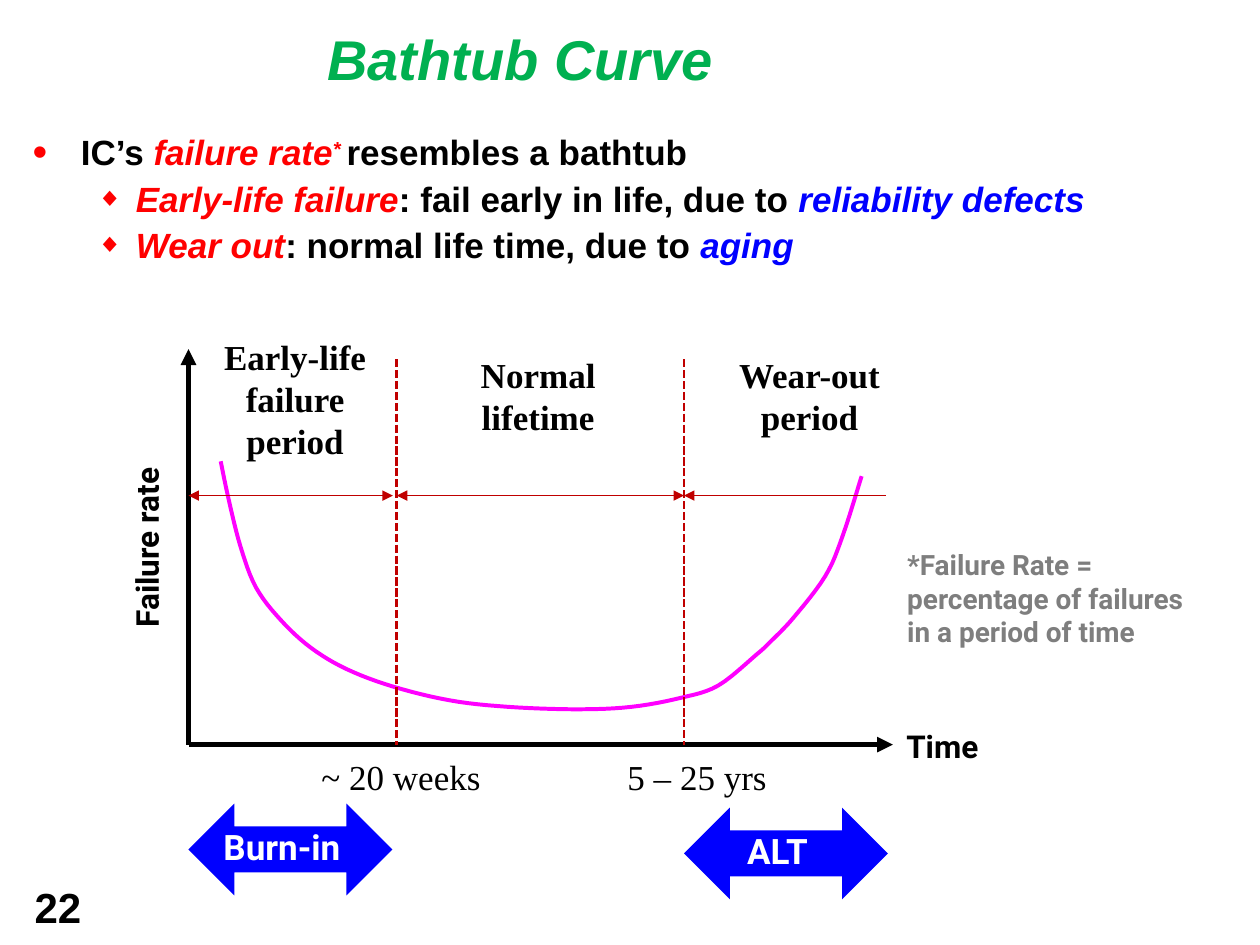
from lxml.etree import SubElement
from pptx import Presentation
from pptx.dml.color import RGBColor
from pptx.enum.dml import MSO_LINE_DASH_STYLE as Dash
from pptx.enum.shapes import MSO_CONNECTOR as Connector, MSO_SHAPE as Shape
from pptx.enum.text import MSO_ANCHOR as Anchor, PP_ALIGN as Align
from pptx.oxml.ns import qn
from pptx.util import Cm, Pt

BLACK, RED, BLUE, WHITE = "000000", "FF0000", "0000FF", "FFFFFF"
GREEN, DARK_RED, MAGENTA, GRAY = "00B050", "C00000", "FF00FF", "7E7E7E"

BODY = dict(name="Arial", size=Pt(20), bold=True, italic=False, color=BLACK)
TERM = dict(BODY, italic=True, color=RED)
CAUSE = dict(TERM, color=BLUE)
TITLE = dict(TERM, size=Pt(32), color=GREEN)
PAGE = dict(BODY, size=Pt(24))
PERIOD = dict(BODY, name="Times New Roman")
MILESTONE = dict(PERIOD, bold=False)
AXIS_LABEL = dict(BODY, name="Roboto", size=Pt(18))
FOOTNOTE = dict(AXIS_LABEL, size=Pt(16), color=GRAY)
TEST = dict(AXIS_LABEL, size=Pt(20), color=WHITE)

# Chart geometry in cm
ORIGIN_X, BASE_Y = 3.8, 15.01
AXIS_TOP, AXIS_RIGHT = 7.04, 18.0
EARLY_END, WEAR_START, WEAR_END = 8.0, 13.79, 17.86
SPAN_Y = 9.99
CURVE_KNOTS = [
    (4.45, 9.3), (4.62, 10.11), (4.85, 11.02), (5.16, 11.84), (5.66, 12.5),
    (6.27, 13.06), (6.99, 13.49), (7.92, 13.84), (9.07, 14.12), (10.24, 14.25),
    (11.63, 14.3), (12.73, 14.25), (13.72, 14.07), (14.48, 13.82),
    (15.27, 13.18), (15.52, 12.95), (16.0, 12.45), (16.64, 11.61),
    (16.99, 10.8), (17.37, 9.6),
]


def rgb(color):
    return RGBColor.from_string(color)


def add_run(paragraph, text, style, baseline=None):
    run = paragraph.add_run()
    run.text = text
    for key, value in style.items():
        if key == "color":
            run.font.color.rgb = rgb(value)
        else:
            setattr(run.font, key, value)
    if baseline:
        run._r.get_or_add_rPr().set("baseline", str(baseline))


def prepare_frame(frame, **options):
    """Remove the margins, turn wrapping on and apply further frame options."""
    settings = dict(margin_left=0, margin_right=0, margin_top=0,
                    margin_bottom=0, word_wrap=True)
    for key, value in {**settings, **options}.items():
        setattr(frame, key, value)
    return frame


def add_label(slide, box, lines, style, align=Align.LEFT, vertical=None):
    label = slide.shapes.add_textbox(*map(Cm, box))
    frame = prepare_frame(label.text_frame)
    if vertical:
        frame._txBody.bodyPr.set("vert", vertical)
    for number, line in enumerate(lines):
        paragraph = frame.add_paragraph() if number else frame.paragraphs[0]
        paragraph.alignment = align
        add_run(paragraph, line, style)


def set_bullet(paragraph, char, percent, left, hanging):
    properties = paragraph._p.get_or_add_pPr()
    properties.set("marL", str(Cm(left)))
    properties.set("indent", str(-Cm(hanging)))
    color = SubElement(properties, qn("a:buClr"))
    SubElement(color, qn("a:srgbClr"), val=RED)
    SubElement(properties, qn("a:buSzPct"), val=str(percent * 1000))
    SubElement(properties, qn("a:buFont"), typeface="Arial")
    SubElement(properties, qn("a:buChar"), char=char)


def add_bullets(slide):
    points = [
        [("IC’s ", BODY), ("failure rate", TERM), ("* ", TERM, 26000),
         ("resembles a bathtub", BODY)],
        [("Early-life failure", TERM),
         (": fail early in life, due to ", BODY),
         ("reliability defects", CAUSE)],
        [("Wear out", TERM), (": normal life time, due to ", BODY),
         ("aging", CAUSE)],
    ]
    box = slide.shapes.add_textbox(Cm(0.61), Cm(2.64), Cm(22.45), Cm(2.8))
    frame = prepare_frame(box.text_frame)
    for number, runs in enumerate(points):
        if number:
            paragraph = frame.add_paragraph()
            paragraph.level = 1
            paragraph.space_before = Pt(2.4)
            set_bullet(paragraph, "◆", 75, 2.13, 0.79)
        else:
            paragraph = frame.paragraphs[0]
            set_bullet(paragraph, "•", 120, 1.02, 0.97)
        for run in runs:
            add_run(paragraph, *run)


def add_line(slide, start, end, color, width, heads=(), dash=None):
    """Draw a line with arrowheads at the given ends (headEnd, tailEnd)."""
    line = slide.shapes.add_connector(Connector.STRAIGHT,
                                      *map(Cm, start + end))
    line.line.color.rgb = rgb(color)
    line.line.width = Pt(width)
    if dash:
        line.line.dash_style = dash
    for head in heads:
        SubElement(line.line._get_or_add_ln(), qn("a:" + head), type="triangle")
    SubElement(line._element.spPr, qn("a:effectLst"))


def spline(knots, steps=6):
    """Points of a Catmull-Rom curve through the knots."""
    padded = [knots[0], *knots, knots[-1]]
    points = [knots[0]]
    for a, b, c, d in zip(padded, padded[1:], padded[2:], padded[3:]):
        for step in range(1, steps + 1):
            t = step / steps
            points.append(tuple(
                (2 * q + (r - p) * t + (2 * p - 5 * q + 4 * r - s) * t ** 2
                 + (3 * q - p - 3 * r + s) * t ** 3) / 2
                for p, q, r, s in zip(a, b, c, d)))
    return points


def add_curve(slide, knots):
    start, *rest = [(Cm(x), Cm(y)) for x, y in spline(knots)]
    builder = slide.shapes.build_freeform(*start)
    builder.add_line_segments(rest, close=False)
    curve = builder.convert_to_shape()
    curve.shadow.inherit = False
    curve.fill.background()
    curve.line.color.rgb = rgb(MAGENTA)
    curve.line.width = Pt(2.28)


def add_test_arrow(slide, left, top, text):
    arrow = slide.shapes.add_shape(Shape.LEFT_RIGHT_ARROW, Cm(left), Cm(top),
                                   Cm(4.11), Cm(1.85))
    arrow.shadow.inherit = False
    arrow.fill.solid()
    arrow.fill.fore_color.rgb = rgb(BLUE)
    arrow.line.fill.background()
    frame = prepare_frame(arrow.text_frame, margin_right=Cm(0.34),
                          margin_bottom=Cm(0.1),
                          vertical_anchor=Anchor.MIDDLE)
    frame.paragraphs[0].alignment = Align.CENTER
    add_run(frame.paragraphs[0], text, TEST)


def add_bathtub_chart(slide):
    origin = (ORIGIN_X, BASE_Y)
    for tip in [(AXIS_RIGHT, BASE_Y), (ORIGIN_X, AXIS_TOP)]:
        add_line(slide, origin, tip, BLACK, 3, ["tailEnd"])
    add_curve(slide, CURVE_KNOTS)
    for x in (EARLY_END, WEAR_START):
        add_line(slide, (x, 7.24), (x, BASE_Y), DARK_RED, 1.56,
                 dash=Dash.SQUARE_DOT)
    both = ["headEnd", "tailEnd"]
    for left, right, heads in [(ORIGIN_X, 7.92, both),
                               (EARLY_END, WEAR_START, both),
                               (WEAR_START, WEAR_END, both[:1])]:
        add_line(slide, (left, SPAN_Y), (right, SPAN_Y), DARK_RED, 0.9, heads)

    for box, lines in [
        ((4.5, 6.77, 2.9, 2.59), ["Early-life failure period"]),
        ((9.4, 7.13, 2.9, 1.78), ["Normal", "lifetime"]),
        ((14.86, 7.13, 2.92, 1.78), ["Wear-out", "period"]),
    ]:
        add_label(slide, box, lines, PERIOD, Align.CENTER)
    add_label(slide, (6.48, 15.23, 3.6, 0.85), ["~ 20 weeks"], MILESTONE)
    add_label(slide, (12.65, 15.23, 3.2, 0.85), ["5 – 25 yrs"], MILESTONE)
    add_label(slide, (2.57, 9.17, 0.84, 3.48), ["Failure rate"], AXIS_LABEL,
              vertical="vert270")
    add_label(slide, (18.27, 14.66, 2, 0.75), ["Time"], AXIS_LABEL)
    add_test_arrow(slide, ORIGIN_X, 16.2, "Burn-in")
    add_test_arrow(slide, WEAR_START, 16.28, "ALT")


def main():
    deck = Presentation()
    deck.slide_width, deck.slide_height = Cm(25.4), Cm(19.05)
    slide = deck.slides.add_slide(deck.slide_layouts[6])
    add_label(slide, (6.6, 0.5, 15, 1.4), ["Bathtub Curve"], TITLE)
    add_bullets(slide)
    add_bathtub_chart(slide)
    add_label(slide, (18.29, 11.04, 5.72, 2.1),
              ["*Failure Rate = percentage of failures in a period of time"],
              FOOTNOTE)
    add_label(slide, (0.7, 17.78, 1.2, 1.02), ["22"], PAGE)
    deck.save("out.pptx")


if __name__ == "__main__":
    main()
